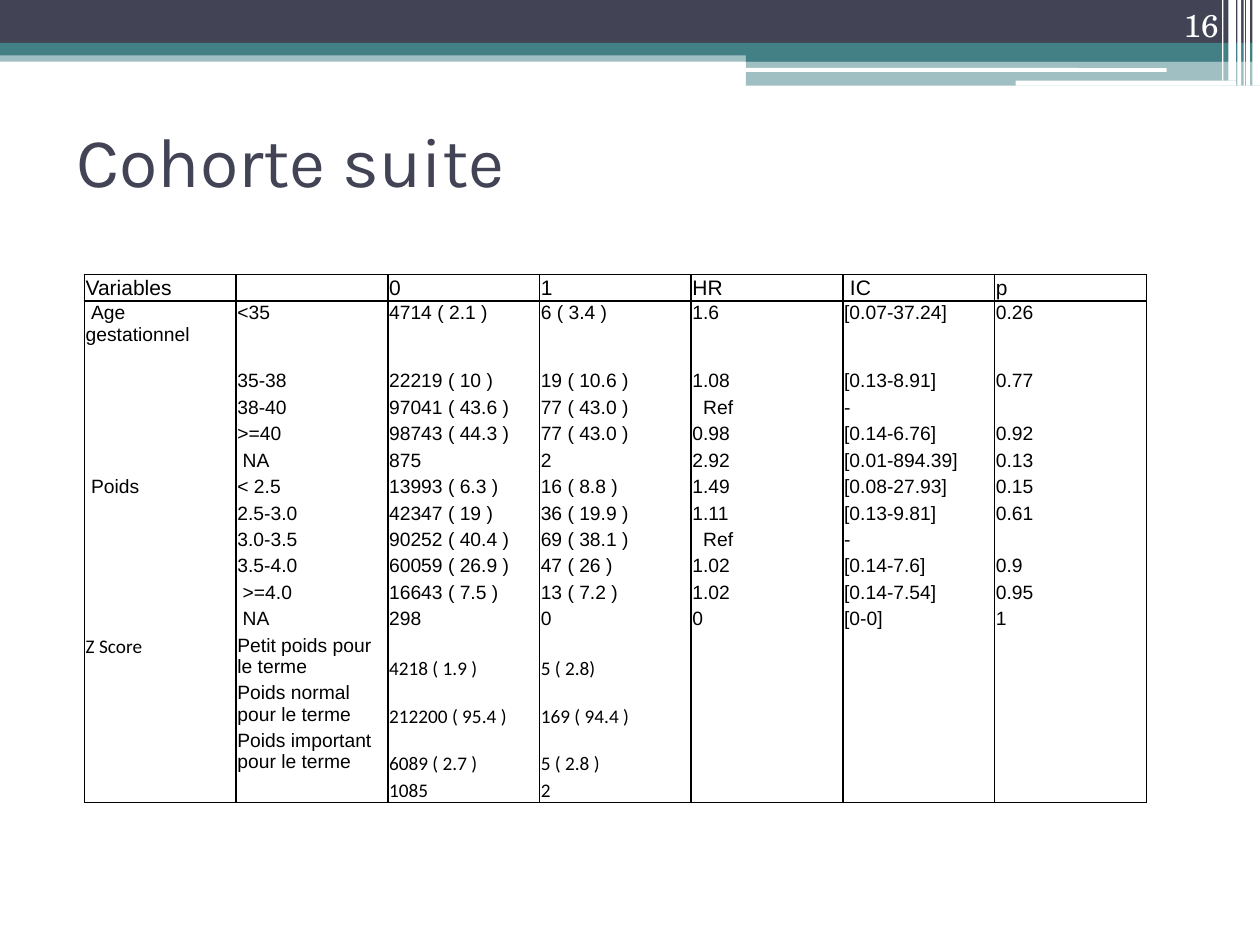
from lxml import etree
from pptx import Presentation
from pptx.dml.color import RGBColor
from pptx.enum.shapes import MSO_SHAPE
from pptx.enum.text import MSO_ANCHOR, PP_ALIGN
from pptx.oxml.ns import qn
from pptx.util import Inches, Pt

RECT, ROUND = MSO_SHAPE.RECTANGLE, MSO_SHAPE.ROUNDED_RECTANGLE
TOP, MIDDLE, BOTTOM = MSO_ANCHOR.TOP, MSO_ANCHOR.MIDDLE, MSO_ANCHOR.BOTTOM
LEFT, RIGHT = PP_ALIGN.LEFT, PP_ALIGN.RIGHT
NAVY = RGBColor(0x42, 0x44, 0x56)
TEAL = RGBColor(0x43, 0x80, 0x86)
WHITE = RGBColor(0xFF, 0xFF, 0xFF)
BLACK = RGBColor(0, 0, 0)


def write(tf, text, name, size, color, align=LEFT):
    p = tf.paragraphs[0]
    p.alignment = align
    if not text:
        etree.SubElement(p._p, qn("a:endParaRPr"), sz=str(size * 100))
        return
    r = p.add_run()
    r.text = text
    for key, value in {"name": name, "size": Pt(size), "bold": False}.items():
        setattr(r.font, key, value)
    r.font.color.rgb = color


def set_border(cell, index, side, visible):
    ln = etree.Element(qn(f"a:ln{side}"), w=str(Pt(1)))
    if visible:
        fill = etree.SubElement(ln, qn("a:solidFill"))
        etree.SubElement(fill, qn("a:srgbClr"), val=str(BLACK))
    else:
        etree.SubElement(ln, qn("a:noFill"))
    cell._tc.get_or_add_tcPr().insert(index, ln)


prs = Presentation()
prs.slide_width, prs.slide_height = Inches(10), Inches(7.5)
s = prs.slides.add_slide(prs.slide_layouts[5])

bands = [
    (RECT, 0, 0.4, 10, 0.09, TEAL, 50),
    (RECT, 0, 0, 10, 0.34, NAVY, 100),
    (RECT, 0, 0.34, 10, 0.1, TEAL, 100),
    (RECT, 5.92, 0.39, 4.08, 0.1, TEAL, 100),
    (RECT, 5.92, 0.48, 4.08, 0.2, TEAL, 50),
    (ROUND, 5.91, 0.54, 3.35, 0.03, WHITE, 100),
    (ROUND, 8.06, 0.64, 1.75, 0.04, WHITE, 100),
]
stripes = [(9.94, 0.06, 0.68), (9.89, 0.03, 0.68), (9.87, 0.01, 0.68),
           (9.82, 0.03, 0.68), (9.75, 0.06, 0.64), (9.7, 0.01, 0.64)]
bands += [(RECT, x, 0, w, h, WHITE, 100) for x, w, h in stripes]
for kind, x, y, w, h, color, opacity in bands:
    sp = s.shapes.add_shape(kind, Inches(x), Inches(y), Inches(w), Inches(h))
    sp.shadow.inherit = False
    sp.line.fill.background()
    sp.fill.solid()
    sp.fill.fore_color.rgb = color
    if opacity < 100:
        clr = sp.fill._xPr.find(".//" + qn("a:srgbClr"))
        etree.SubElement(clr, qn("a:alpha"), val=str(opacity * 1000))

title = s.shapes.title
title.left, title.top = Inches(0.51), Inches(0.68)
title.width, title.height = Inches(9), Inches(1.17)
number = s.shapes.add_textbox(Inches(8.94), Inches(0), Inches(0.83), Inches(0.4))
for sp, anchor, inset in ((title, MIDDLE, 0.1), (number, BOTTOM, 0.05)):
    tf = sp.text_frame
    formats = {"word_wrap": True, "vertical_anchor": anchor,
               "margin_left": Inches(0.1), "margin_right": Inches(0.1),
               "margin_top": Inches(inset), "margin_bottom": Inches(inset)}
    for key, value in formats.items():
        setattr(tf, key, value)
write(title.text_frame, "Cohorte suite", "Karla", 40, NAVY)
write(number.text_frame, "16", "TeX Gyre Schola", 18, WHITE, RIGHT)

rows = [
    ["Variables", "", "0", "1", "HR", "\u00a0IC", "p"],
    ["\u00a0Age gestationnel", "<35", "4714 ( 2.1 )", "6 ( 3.4 )", "1.6", "[0.07-37.24]", "0.26"],
    ["", "35-38", "22219 ( 10 )", "19 ( 10.6 )", "1.08", "[0.13-8.91]", "0.77"],
    ["", "38-40", "97041 ( 43.6 )", "77 ( 43.0 )", "\u00a0 Ref", "-", ""],
    ["", ">=40", "98743 ( 44.3 )", "77 ( 43.0 )", "0.98", "[0.14-6.76]", "0.92"],
    ["", "\u00a0NA", "875", "2", "2.92", "[0.01-894.39]", "0.13"],
    ["\u00a0Poids", "< 2.5", "13993 ( 6.3 )", "16 ( 8.8 )", "1.49", "[0.08-27.93]", "0.15"],
    ["", "2.5-3.0", "42347 ( 19 )", "36 ( 19.9 )", "1.11", "[0.13-9.81]", "0.61"],
    ["", "3.0-3.5", "90252 ( 40.4 )", "69 ( 38.1 )", "\u00a0 Ref", "-", ""],
    ["", "3.5-4.0", "60059 ( 26.9 )", "47 ( 26 )", "1.02", "[0.14-7.6]", "0.9"],
    ["", " >=4.0", "16643 ( 7.5 )", "13 ( 7.2 )", "1.02", "[0.14-7.54]", "0.95"],
    ["", "\u00a0NA", "298", "0", "0", "[0-0]", "1"],
    ["Z Score", "Petit poids pour le terme", "4218 ( 1.9 )", "5 ( 2.8)", "", "", ""],
    ["", "Poids normal pour le terme", "212200 ( 95.4 )", "169 ( 94.4 )", "", "", ""],
    ["", "Poids important pour le terme", "6089 ( 2.7 )", "5 ( 2.8 )", "", "", ""],
    ["", "", "1085", "2", "", "", ""],
]
heights = [0.21, 0.54] + [0.21] * 10 + [0.35] * 3 + [0.21]
last, z_score = len(rows) - 1, 12
table = s.shapes.add_table(len(rows), 7, Inches(0.67), Inches(2.18),
                           Inches(8.43), Inches(sum(heights))).table
table.first_row = table.horz_banding = False
for col in table.columns:
    col.width = Inches(8.43 / 7)
for i, (texts, height) in enumerate(zip(rows, heights)):
    table.rows[i].height = Inches(height)
    for j, text in enumerate(texts):
        cell = table.cell(i, j)
        calibri = i >= z_score and j != 1
        formats = {"margin_left": Inches(0.01), "margin_right": Inches(0.01),
                   "margin_top": Inches(0.01), "margin_bottom": 0,
                   "vertical_anchor": BOTTOM if calibri and j > 1 else TOP}
        for key, value in formats.items():
            setattr(cell, key, value)
        cell.fill.background()
        sides = {"L": True, "R": True, "T": i < 2, "B": i in (0, last)}
        for index, (side, visible) in enumerate(sides.items()):
            set_border(cell, index, side, visible)
        write(cell.text_frame, text, "Calibri" if calibri else "Arial",
              12 if i == 0 else 11, BLACK)

prs.save("out.pptx")
